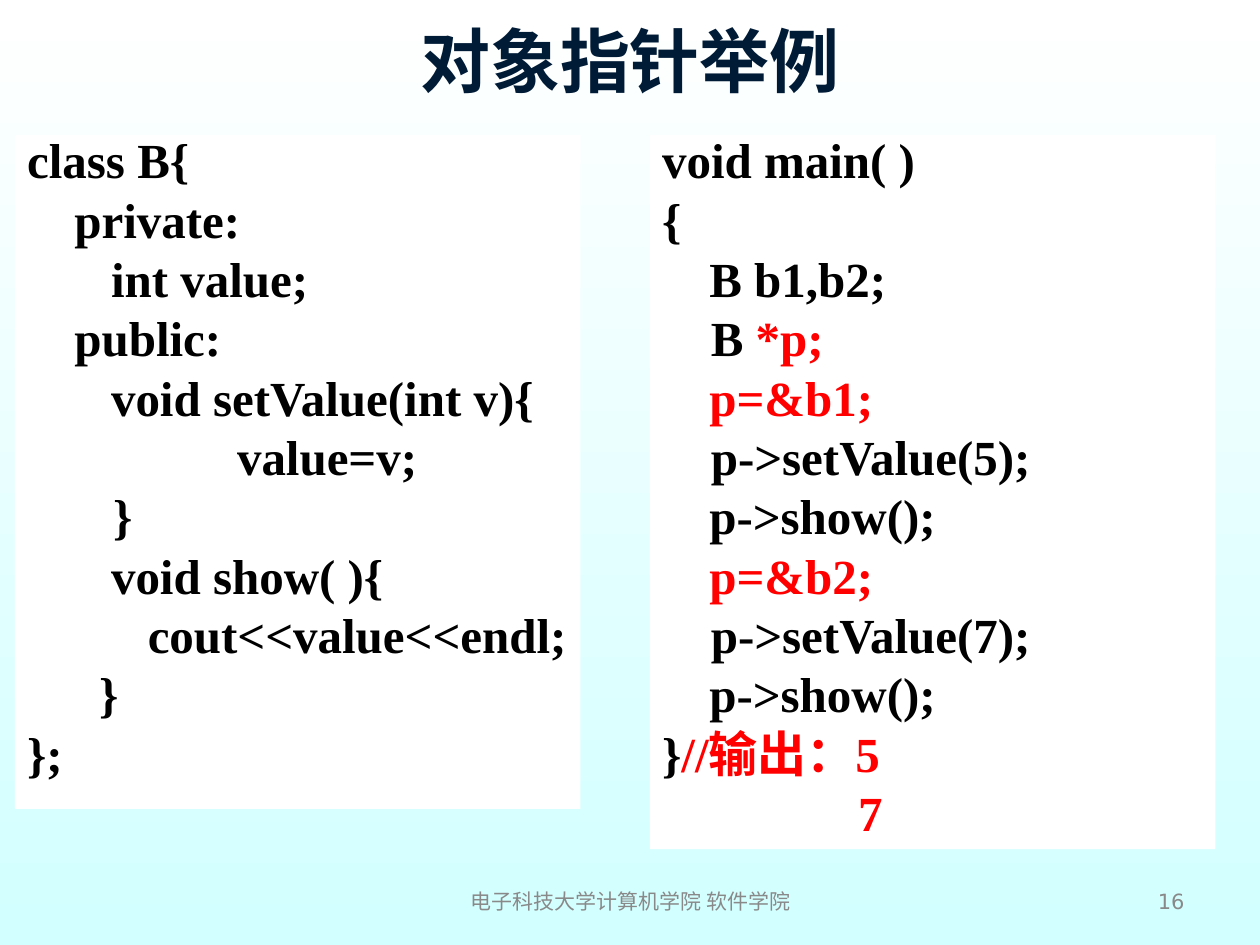
import pptx
import pptx.util
import pptx.dml.color
import pptx.enum.shapes
import pptx.enum.text
from pptx.util import Cm, Pt

WHITE = pptx.dml.color.RGBColor(0xFF, 0xFF, 0xFF)
PALE_CYAN = pptx.dml.color.RGBColor(0xD2, 0xFF, 0xFF)
NAVY = pptx.dml.color.RGBColor(0x00, 0x1B, 0x36)
BLACK = pptx.dml.color.RGBColor(0x00, 0x00, 0x00)
RED = pptx.dml.color.RGBColor(0xFF, 0x00, 0x00)
GRAY = pptx.dml.color.RGBColor(0x89, 0x89, 0x89)
ALIGN = pptx.enum.text.PP_ALIGN
ANCHOR = pptx.enum.text.MSO_ANCHOR


def format_run(run, font_name, size, color, bold=False):
    run.font.name = font_name
    run.font.size = Pt(size)
    run.font.color.rgb = color
    run.font.bold = bold


presentation = pptx.Presentation()
presentation.slide_width = Cm(25.4)
presentation.slide_height = Cm(19.05)
slide = presentation.slides.add_slide(presentation.slide_layouts[5])

background = slide.background.fill
background.gradient()
background.gradient_angle = 270
for stop, position, color in zip(background.gradient_stops, (0, 1), (WHITE, PALE_CYAN)):
    stop.position = position
    stop.color.rgb = color

title = slide.shapes.title
title.left, title.top, title.width, title.height = Cm(1.27), Cm(0.33), Cm(22.86), Cm(1.75)
title.text_frame.text = "对象指针举例"
title.text_frame.auto_size = pptx.enum.text.MSO_AUTO_SIZE.NONE
title.text_frame.vertical_anchor = ANCHOR.MIDDLE
title.text_frame.paragraphs[0].alignment = ALIGN.CENTER
format_run(title.text_frame.paragraphs[0].runs[0], "Arial", 40, NAVY, True)

class_lines = [
    (0, "class B{", ""),
    (0.95, "private:", ""),
    (1.69, "int value;", ""),
    (0.95, "public:", ""),
    (1.69, "void setValue(int v){", ""),
    (4.23, "value=v;", ""),
    (1.73, "}", ""),
    (1.69, "void show( ){", ""),
    (2.43, "cout<<value<<endl;", ""),
    (1.45, "}", ""),
    (0, "};", ""),
]
main_lines = [
    (0, "void main( )", ""),
    (0, "{", ""),
    (0.95, "B b1,b2;", ""),
    (0.98, "B ", "*p;"),
    (0.95, "", "p=&b1;"),
    (0.98, "p->setValue(5);", ""),
    (0.95, "p->show();", ""),
    (0.95, "", "p=&b2;"),
    (0.98, "p->setValue(7);", ""),
    (0.95, "p->show();", ""),
    (0, "}", "//输出：5"),
    (3.95, "", "7"),
]

for left, height, lines in ((0.3, 13.59, class_lines), (13.1, 14.4, main_lines)):
    panel = slide.shapes.add_shape(
        pptx.enum.shapes.MSO_SHAPE.RECTANGLE, Cm(left), Cm(2.72), Cm(11.4), Cm(height))
    panel.shadow.inherit = False
    panel.fill.solid()
    panel.fill.fore_color.rgb = WHITE
    panel.line.fill.background()
    text_frame = panel.text_frame
    text_frame.word_wrap = True
    text_frame.vertical_anchor = ANCHOR.TOP
    for number, (indent, plain, highlighted) in enumerate(lines):
        paragraph = text_frame.add_paragraph() if number else text_frame.paragraphs[0]
        paragraph.alignment = ALIGN.JUSTIFY
        paragraph.line_spacing = 0.8
        paragraph.space_before = Pt(7)
        paragraph_properties = paragraph._p.get_or_add_pPr()
        paragraph_properties.set("marL", str(Cm(indent)))
        paragraph_properties.set("indent", "0")
        for text, color in ((plain, BLACK), (highlighted, RED)):
            if text:
                run = paragraph.add_run()
                run.text = text
                format_run(run, "Times New Roman", 28, color, True)

for left, width, text, alignment in (
    (8.69, 8.05, "电子科技大学计算机学院 软件学院", ALIGN.CENTER),
    (18.21, 5.92, "16", ALIGN.RIGHT),
):
    footer = slide.shapes.add_textbox(Cm(left), Cm(17.65), Cm(width), Cm(1.02))
    footer.text_frame.word_wrap = True
    footer.text_frame.vertical_anchor = ANCHOR.MIDDLE
    footer.text_frame.text = text
    footer.text_frame.paragraphs[0].alignment = alignment
    format_run(footer.text_frame.paragraphs[0].runs[0], "DejaVu Sans", 12, GRAY)

presentation.save("out.pptx")
